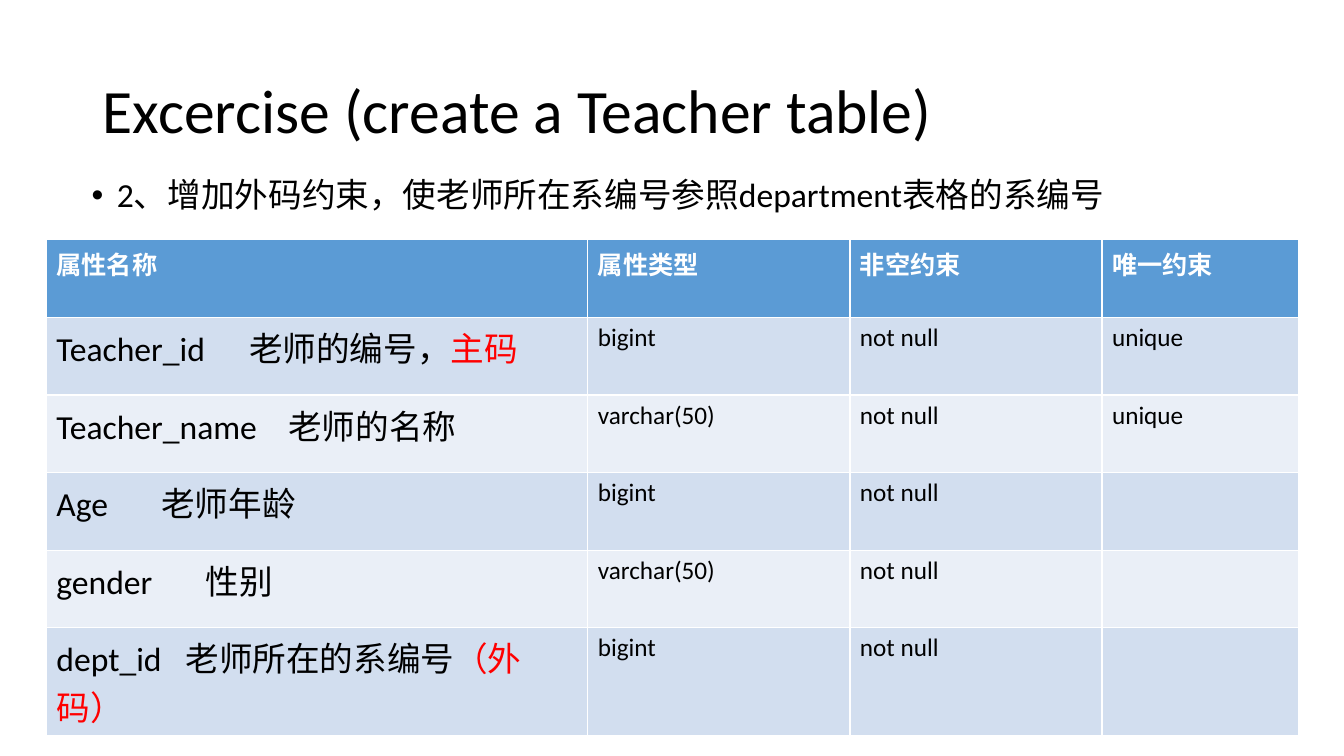
from lxml.etree import SubElement
from pptx import Presentation
from pptx.dml.color import RGBColor
from pptx.enum.text import MSO_ANCHOR as ANCHOR, PP_ALIGN as ALIGN
from pptx.oxml.ns import qn
from pptx.util import Inches, Pt

BLACK = RGBColor(0x00, 0x00, 0x00)
WHITE = RGBColor(0xFF, 0xFF, 0xFF)
RED = RGBColor(0xFF, 0x00, 0x00)
HEADER = RGBColor(0x5B, 0x9B, 0xD5)
BANDS = RGBColor(0xD2, 0xDE, 0xEF), RGBColor(0xEA, 0xEF, 0xF7)

COLUMNS = [5.37, 2.6, 2.5, 1.95]
ROW_HEIGHT = 0.77
HEADINGS = ["属性名称", "属性类型", "非空约束", "唯一约束"]
ATTRIBUTES = [
    ("Teacher_id", 1.91, "老师的编号，", "主码", "bigint", "unique"),
    ("Teacher_name", 2.3, "老师的名称", "", "varchar(50)", "unique"),
    ("Age", 1.04, "老师年龄", "", "bigint", ""),
    ("gender", 1.48, "性别", "", "varchar(50)", ""),
    ("dept_id", 1.28, "老师所在的系编号", "（外码）", "bigint", ""),
]


class SlideBuilder:
    """Holds the text style and the current slide."""

    style = {"name": "Calibri", "size": Pt(18), "bold": False}

    def __init__(self, prs):
        self.slide = prs.slides.add_slide(prs.slide_layouts[1])

    def run(self, p, text, color=BLACK, **fmt):
        r = p.add_run()
        r.text = text
        for key, value in {**self.style, **fmt}.items():
            setattr(r.font, key, value)
        r.font.color.rgb = color

    def placeholder(self, idx, box, text, size, anchor, **fmt):
        sp = self.slide.placeholders[idx]
        for key, value in zip(("left", "top", "width", "height"), box):
            setattr(sp, key, Inches(value))
        sp.text_frame.vertical_anchor = anchor
        p = sp.text_frame.paragraphs[0]
        for key, value in {"alignment": ALIGN.LEFT, "line_spacing": 0.9, **fmt}.items():
            setattr(p, key, value)
        self.run(p, text, size=size)
        return p

    def bullet(self, p, indent):
        pPr = p._p.get_or_add_pPr()
        pPr.set("marL", str(Inches(indent)))
        pPr.set("indent", str(-Inches(indent)))
        SubElement(pPr, qn("a:buFont"), typeface="Arial")
        SubElement(pPr, qn("a:buChar"), char="•")

    def tab_stop(self, p, position):
        tabs = SubElement(p._p.get_or_add_pPr(), qn("a:tabLst"))
        SubElement(tabs, qn("a:tab"), pos=str(Inches(position)), algn="l")

    def cell(self, cell, fill, *runs):
        cell.fill.solid()
        cell.fill.fore_color.rgb = fill
        p = cell.text_frame.paragraphs[0]
        for text, fmt in runs:
            if text:
                self.run(p, text, **fmt)
        return p

    def table(self, left, top):
        rows = len(ATTRIBUTES) + 1
        table = self.slide.shapes.add_table(
            rows, len(COLUMNS), Inches(left), Inches(top),
            Inches(sum(COLUMNS)), Inches(ROW_HEIGHT * rows)).table
        for column, width in zip(table.columns, COLUMNS):
            column.width = Inches(width)
        for col, heading in enumerate(HEADINGS):
            self.cell(table.cell(0, col), HEADER, (heading, {"color": WHITE, "bold": True}))
        large = {"size": Pt(24)}
        for row, (name, stop, meaning, key, kind, unique) in enumerate(ATTRIBUTES, 1):
            fill = BANDS[(row - 1) % 2]
            p = self.cell(table.cell(row, 0), fill, (f"{name}\t{meaning}", large),
                          (key, {**large, "color": RED}))
            self.tab_stop(p, stop)
            for col, text in enumerate((kind, "not null", unique), 1):
                self.cell(table.cell(row, col), fill, (text, {}))


def main():
    prs = Presentation()
    prs.slide_width, prs.slide_height = Inches(13.33), Inches(7.5)
    s = SlideBuilder(prs)
    s.placeholder(0, (0.92, 0.4, 11.5, 1.45), "Excercise (create a Teacher table)",
                  Pt(44), ANCHOR.MIDDLE)
    p = s.placeholder(1, (0.81, 1.72, 11.5, 4.76),
                      "2、增加外码约束，使老师所在系编号参照department表格的系编号",
                      Pt(24), ANCHOR.TOP, space_before=Pt(10))
    s.bullet(p, 0.25)
    s.table(0.46, 2.38)
    prs.save("out.pptx")


if __name__ == "__main__":
    main()
